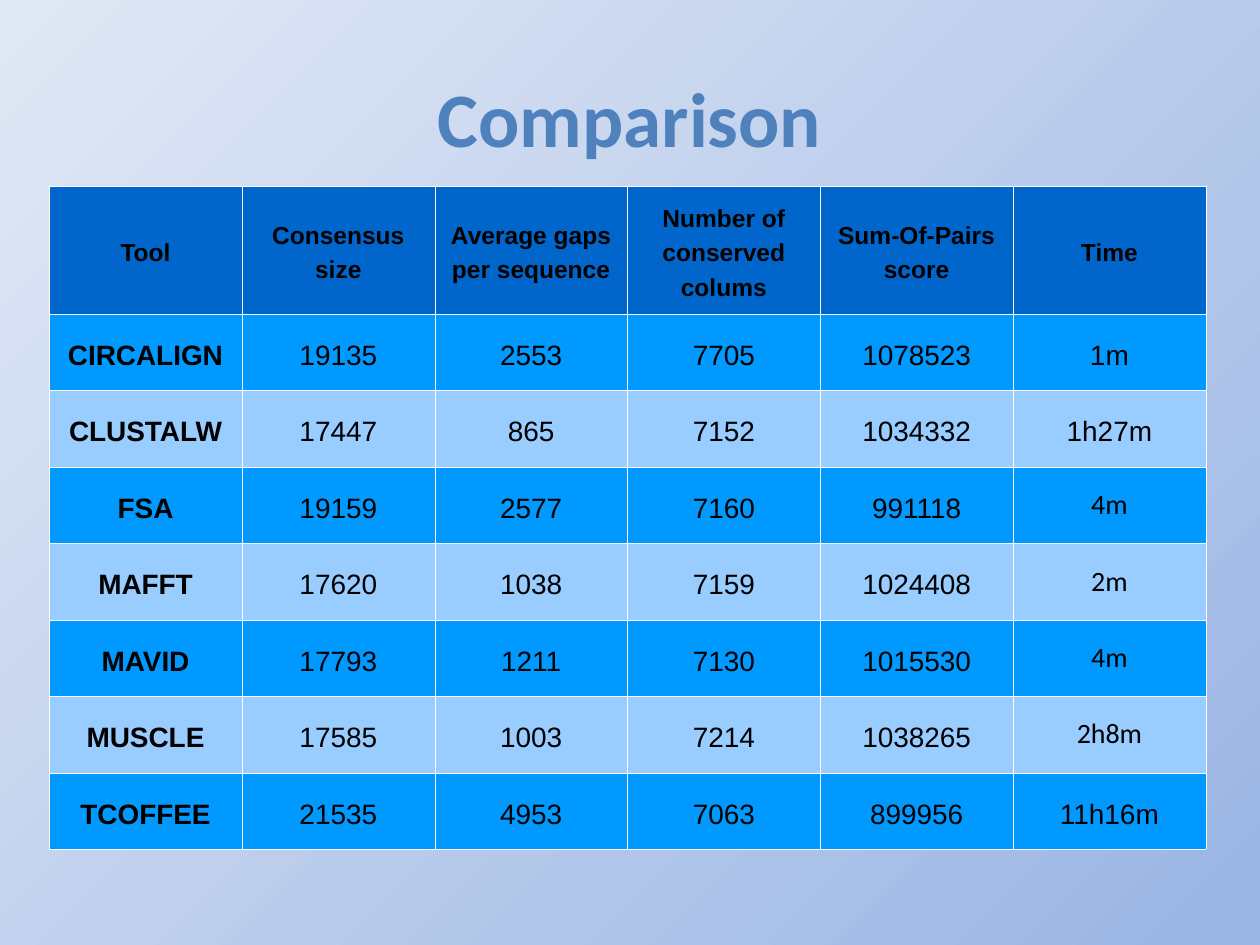
import dataclasses

import lxml.etree
import pptx
import pptx.dml.color
import pptx.enum.text
import pptx.oxml.ns
import pptx.util

TITLE = "Comparison"
HEADERS = ["Tool", "Consensus size", "Average gaps per sequence",
           "Number of conserved colums", "Sum-Of-Pairs score", "Time"]
RESULTS = [
    ("CIRCALIGN", "19135", "2553", "7705", "1078523", "1m"),
    ("CLUSTALW", "17447", "865", "7152", "1034332", "1h27m"),
    ("FSA", "19159", "2577", "7160", "991118", "4m"),
    ("MAFFT", "17620", "1038", "7159", "1024408", "2m"),
    ("MAVID", "17793", "1211", "7130", "1015530", "4m"),
    ("MUSCLE", "17585", "1003", "7214", "1038265", "2h8m"),
    ("TCOFFEE", "21535", "4953", "7063", "899956", "11h16m"),
]
PLAIN_TIME_TOOLS = {"FSA", "MAFFT", "MAVID", "MUSCLE"}


@dataclasses.dataclass(frozen=True)
class Theme:
    title_font: str = "Calibri"
    table_font: str = "Arial"
    title_size: int = 44
    header_size: int = 14
    body_size: int = 16
    line_spacing: float = 1.24
    border_width: float = 0.06
    title: str = "4F81BD"
    text: str = "000000"
    border: str = "FFFFFF"
    header: str = "0066CC"
    bands: tuple = ("0099FF", "99CCFF")
    background: tuple = ("9AB5E4", "E1E8F5")


THEME = Theme()
SLIDE_WIDTH = pptx.util.Inches(10)
SLIDE_HEIGHT = pptx.util.Inches(7.5)
TABLE_LEFT, TABLE_TOP = pptx.util.Inches(0.39), pptx.util.Inches(1.48)
TABLE_WIDTH, TABLE_HEIGHT = pptx.util.Inches(9.18), pptx.util.Inches(5.26)
HEADER_HEIGHT = pptx.util.Inches(1.01)


def color(value):
    return pptx.dml.color.RGBColor.from_string(value)


def format_paragraph(paragraph, font, size, text_color, bold):
    paragraph.alignment = pptx.enum.text.PP_ALIGN.CENTER
    paragraph.font.name = font
    paragraph.font.size = pptx.util.Pt(size)
    paragraph.font.color.rgb = color(text_color)
    paragraph.font.bold = bold


def add_borders(cell):
    properties = cell._tc.get_or_add_tcPr()
    width = str(int(pptx.util.Pt(THEME.border_width)))
    for position, side in enumerate(("lnL", "lnR", "lnT", "lnB")):
        line = lxml.etree.Element(pptx.oxml.ns.qn(f"a:{side}"), w=width)
        fill = lxml.etree.SubElement(line, pptx.oxml.ns.qn("a:solidFill"))
        lxml.etree.SubElement(fill, pptx.oxml.ns.qn("a:srgbClr"), val=THEME.border)
        properties.insert(position, line)


def set_background(slide):
    fill = slide.background.fill
    fill.gradient()
    fill.gradient_angle = 135
    for position, (stop, value) in enumerate(zip(fill.gradient_stops, THEME.background)):
        stop.position = position
        stop.color.rgb = color(value)


def add_title(slide):
    title = slide.shapes.title
    title.left, title.top = int(SLIDE_WIDTH * 0.05), int(SLIDE_HEIGHT * 0.04)
    title.width, title.height = int(SLIDE_WIDTH * 0.9), int(SLIDE_HEIGHT / 6)
    title.text_frame.text = TITLE
    title.text_frame.vertical_anchor = pptx.enum.text.MSO_ANCHOR.MIDDLE
    format_paragraph(title.text_frame.paragraphs[0], THEME.title_font,
                     THEME.title_size, THEME.title, True)


def fill_cell(cell, text, row, column, plain):
    cell.text = text
    cell.vertical_anchor = pptx.enum.text.MSO_ANCHOR.MIDDLE
    cell.fill.solid()
    cell.fill.fore_color.rgb = color(THEME.bands[(row - 1) % 2] if row else THEME.header)
    add_borders(cell)
    paragraph = cell.text_frame.paragraphs[0]
    format_paragraph(paragraph, THEME.title_font if plain else THEME.table_font,
                     THEME.body_size if row else THEME.header_size,
                     THEME.text, row == 0 or column == 0)
    if not plain:
        paragraph.line_spacing = THEME.line_spacing


def add_results_table(slide):
    rows = [HEADERS, *RESULTS]
    table = slide.shapes.add_table(len(rows), len(HEADERS), TABLE_LEFT, TABLE_TOP,
                                   TABLE_WIDTH, TABLE_HEIGHT).table
    for column in table.columns:
        column.width = TABLE_WIDTH // len(HEADERS)
    for row, values in enumerate(rows):
        body_height = (TABLE_HEIGHT - HEADER_HEIGHT) // len(RESULTS)
        table.rows[row].height = body_height if row else HEADER_HEIGHT
        for column, text in enumerate(values):
            plain = HEADERS[column] == "Time" and values[0] in PLAIN_TIME_TOOLS
            fill_cell(table.cell(row, column), text, row, column, plain)


def main():
    presentation = pptx.Presentation()
    presentation.slide_width = SLIDE_WIDTH
    presentation.slide_height = SLIDE_HEIGHT
    slide = presentation.slides.add_slide(presentation.slide_layouts.get_by_name("Title Only"))
    set_background(slide)
    add_title(slide)
    add_results_table(slide)
    presentation.save("out.pptx")


if __name__ == "__main__":
    main()
